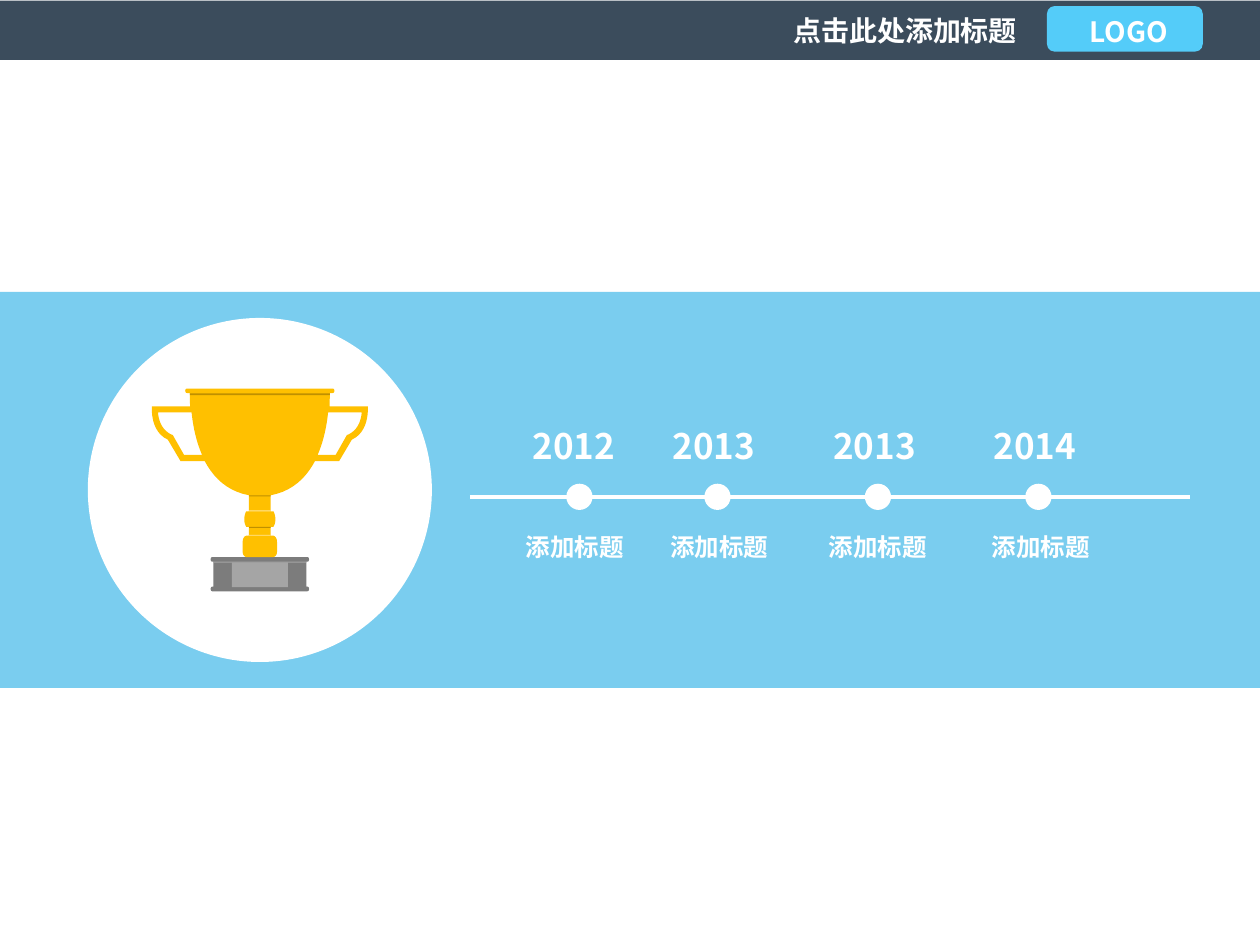
"""Build a trophy slide with a four-step timeline."""
import dataclasses
from typing import Any

import lxml.etree
import pptx
import pptx.dml.color
import pptx.enum.shapes
import pptx.enum.text
import pptx.oxml.ns
import pptx.util

Pt = pptx.util.Pt
RGBColor = pptx.dml.color.RGBColor
Shape = pptx.enum.shapes.MSO_SHAPE
Align = pptx.enum.text.PP_ALIGN
Anchor = pptx.enum.text.MSO_ANCHOR
AutoSize = pptx.enum.text.MSO_AUTO_SIZE
Point = tuple[float, float]

FONT = "Noto Sans CJK SC"
WHITE = RGBColor(0xFF, 0xFF, 0xFF)
SLATE = RGBColor(0x3B, 0x4C, 0x5C)
BRIGHT_BLUE = RGBColor(0x54, 0xCC, 0xF9)
SKY = RGBColor(0x7A, 0xCD, 0xEF)
GOLD = RGBColor(0xFF, 0xC0, 0x00)
DARK_GOLD = RGBColor(0xBF, 0x90, 0x00)
PALE_GOLD = RGBColor(0xFF, 0xE6, 0x99)
GREY = RGBColor(0x7C, 0x7C, 0x7C)
LIGHT_GREY = RGBColor(0xA5, 0xA5, 0xA5)

TROPHY_CENTER = 148.5
LINE_Y = 283.9
DOT_SIZE = 15


@dataclasses.dataclass(frozen=True)
class Milestone:
    year: str
    caption: str
    dot_center: float
    year_left: float
    caption_left: float


@dataclasses.dataclass(frozen=True)
class Band:
    half_width: float
    top: float
    height: float
    color: RGBColor


MILESTONES = [
    Milestone("2012", "添加标题", 331.1, 297.2, 290.9),
    Milestone("2013", "添加标题", 410, 377.2, 373.4),
    Milestone("2013", "添加标题", 501.7, 469, 464.2),
    Milestone("2014", "添加标题", 593.4, 560.6, 557.3),
]

BANDS = [
    Band(6.2, 301, 0.7, DARK_GOLD),
    Band(6.2, 291.6, 0.7, PALE_GOLD),
    Band(6.2, 283, 0.7, DARK_GOLD),
    Band(40, 224.8, 1, DARK_GOLD),
    Band(6.2, 305.6, 0.5, PALE_GOLD),
    Band(16, 321.3, 14.2, LIGHT_GREY),
    Band(26.6, 321, 0.5, LIGHT_GREY),
]

CUP_EDGE = [
    [(41.5, 222)], [(43, 222), (43, 224.6), (41.5, 224.6)],
    [(40, 224.6)], [(39.9, 232.2)], [(61.7, 232.2)], [(61.7, 234)],
    [(61.8, 238.3), (60.5, 247.7), (52.6, 251.2)],
    [(45.3, 263.5)], [(31.5, 263.5)],
    [(26.5, 272.9), (18.5, 280.8), (6.2, 283)],
    [(6.2, 292.2)], [(7.8, 292.2)],
    [(7.8, 292.2), (10.3, 296.6), (7.8, 301)],
    [(6.2, 301)], [(6.2, 306)], [(7.1, 306)],
    [(8.6, 306), (9.8, 307.4), (9.8, 309.6)],
    [(9.8, 315.4)], [(9.8, 317.2), (8.6, 318.4), (7.1, 318.4)],
]

HANDLE_GAP = [
    [(33, 260)], [(43.3, 260)], [(49.8, 248.5)], [(50.4, 248.4)],
    [(56.7, 245.5), (58, 239), (58.2, 235.6)],
    [(39, 235.6)], [(38.3, 243), (36.5, 252), (33, 260)],
]

BASE_EDGE = [
    [(27.2, 318.4)], [(28.4, 318.4), (28.4, 321), (27.2, 321)],
    [(26.6, 321)], [(26.6, 335.3)], [(27.2, 335.3)],
    [(28.4, 335.3), (28.4, 337.9), (27.2, 337.9)],
]


def trace(edge: list[list[Point]], steps: int = 10) -> list[Point]:
    """Turn corners and cubic curves into a list of points."""
    points: list[Point] = []
    for part in edge:
        if len(part) == 1:
            points.append(part[0])
            continue
        controls = [points[-1], *part]
        for step in range(1, steps + 1):
            t = step / steps
            weights = ((1 - t) ** 3, 3 * t * (1 - t) ** 2, 3 * t * t * (1 - t), t ** 3)
            points.append(tuple(
                sum(w * p[axis] for w, p in zip(weights, controls)) for axis in (0, 1)))
    return points


def mirror(points: list[Point]) -> list[Point]:
    """Reflect points in the trophy axis, in reverse order."""
    return [(-x, y) for x, y in reversed(points)]


def paint(shape: Any, color: RGBColor) -> None:
    """Give a shape a plain fill without outline or shadow."""
    shape.shadow.inherit = False
    shape.fill.solid()
    shape.fill.fore_color.rgb = color
    shape.line.fill.background()


def add_block(shapes: Any, kind: Any, left: float, top: float, width: float,
              height: float, color: RGBColor) -> None:
    """Add a plain preset shape."""
    paint(shapes.add_shape(kind, Pt(left), Pt(top), Pt(width), Pt(height)), color)


def add_outline(shapes: Any, contours: list[list[Point]], color: RGBColor) -> None:
    """Add a freeform whose points are measured from the trophy axis."""
    placed = [[(Pt(TROPHY_CENTER + x), Pt(y)) for x, y in points] for points in contours]
    builder = shapes.build_freeform(*placed[0][0])
    for index, points in enumerate(placed):
        if index:
            builder.move_to(*points[0])
        builder.add_line_segments(points[1:], close=True)
    paint(builder.convert_to_shape(), color)


def add_label(shapes: Any, text: str, left: float, top: float, width: float,
              height: float, size: float) -> Any:
    """Add bold white text and return its text frame."""
    frame = shapes.add_textbox(Pt(left), Pt(top), Pt(width), Pt(height)).text_frame
    frame.word_wrap = True
    frame.auto_size = AutoSize.SHAPE_TO_FIT_TEXT
    frame.text = text
    span = frame.paragraphs[0].runs[0]
    span.font.name = FONT
    span.font.size = Pt(size)
    span.font.bold = True
    span.font.color.rgb = WHITE
    lxml.etree.SubElement(
        span._r.get_or_add_rPr(), pptx.oxml.ns.qn("a:ea"), typeface=FONT)
    return frame


def add_trophy(page: Any) -> None:
    """Draw the trophy as one group."""
    shapes = page.shapes.add_group_shape().shapes
    base, cup, gap = trace(BASE_EDGE), trace(CUP_EDGE), trace(HANDLE_GAP)
    add_outline(shapes, [base + mirror(base)], GREY)
    add_outline(shapes, [cup + mirror(cup), gap, mirror(gap)], GOLD)
    for band in BANDS:
        add_block(shapes, Shape.RECTANGLE, TROPHY_CENTER - band.half_width, band.top,
                  2 * band.half_width, band.height, band.color)


def add_timeline(page: Any) -> None:
    """Draw the line, its dots and their labels."""
    line = page.shapes.add_connector(
        pptx.enum.shapes.MSO_CONNECTOR.STRAIGHT, Pt(268.5), Pt(LINE_Y), Pt(680), Pt(LINE_Y))
    line.line.color.rgb = WHITE
    line.line.width = Pt(2.25)
    lxml.etree.SubElement(line._element.spPr, pptx.oxml.ns.qn("a:effectLst"))
    for stone in MILESTONES:
        add_block(page.shapes, Shape.OVAL, stone.dot_center - DOT_SIZE / 2,
                  LINE_Y - DOT_SIZE / 2, DOT_SIZE, DOT_SIZE, WHITE)
        add_label(page.shapes, stone.year, stone.year_left, 239, 75, 31.5, 20)
        caption = add_label(page.shapes, stone.caption, stone.caption_left, 296, 72.7, 32.4, 14)
        caption.auto_size = AutoSize.NONE
        caption.vertical_anchor = Anchor.MIDDLE
        caption.paragraphs[0].alignment = Align.RIGHT


def main() -> None:
    """Build and save the deck."""
    deck = pptx.Presentation()
    deck.slide_width, deck.slide_height = Pt(720), Pt(540)
    page = deck.slides.add_slide(deck.slide_layouts[6])
    add_block(page.shapes, Shape.RECTANGLE, -2, 0.3, 722, 34, SLATE)
    logo = page.shapes.add_group_shape().shapes
    add_block(logo, Shape.ROUNDED_RECTANGLE, 598.3, 3.5, 89, 26, BRIGHT_BLUE)
    add_label(logo, "LOGO", 615.6, 5, 63.4, 26.6, 16)
    add_label(page.shapes, "点击此处添加标题", 446.4, 4.3, 144, 26.6, 16)
    add_block(page.shapes, Shape.RECTANGLE, 0, 166.8, 720, 226.3, SKY)
    add_block(page.shapes, Shape.OVAL, 50.2, 181.7, 196.6, 196.6, WHITE)
    add_trophy(page)
    add_timeline(page)
    deck.save("out.pptx")


if __name__ == "__main__":
    main()
